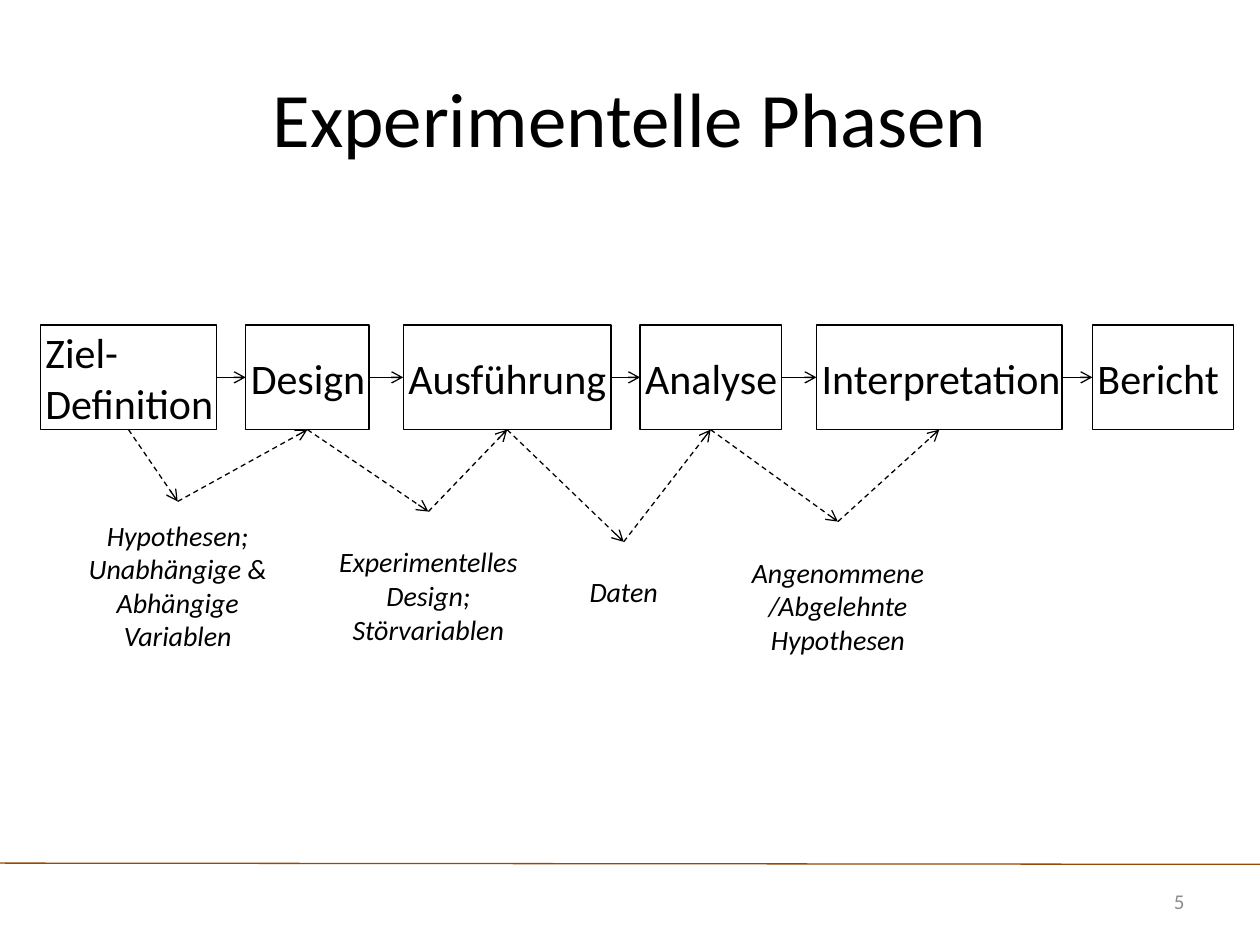
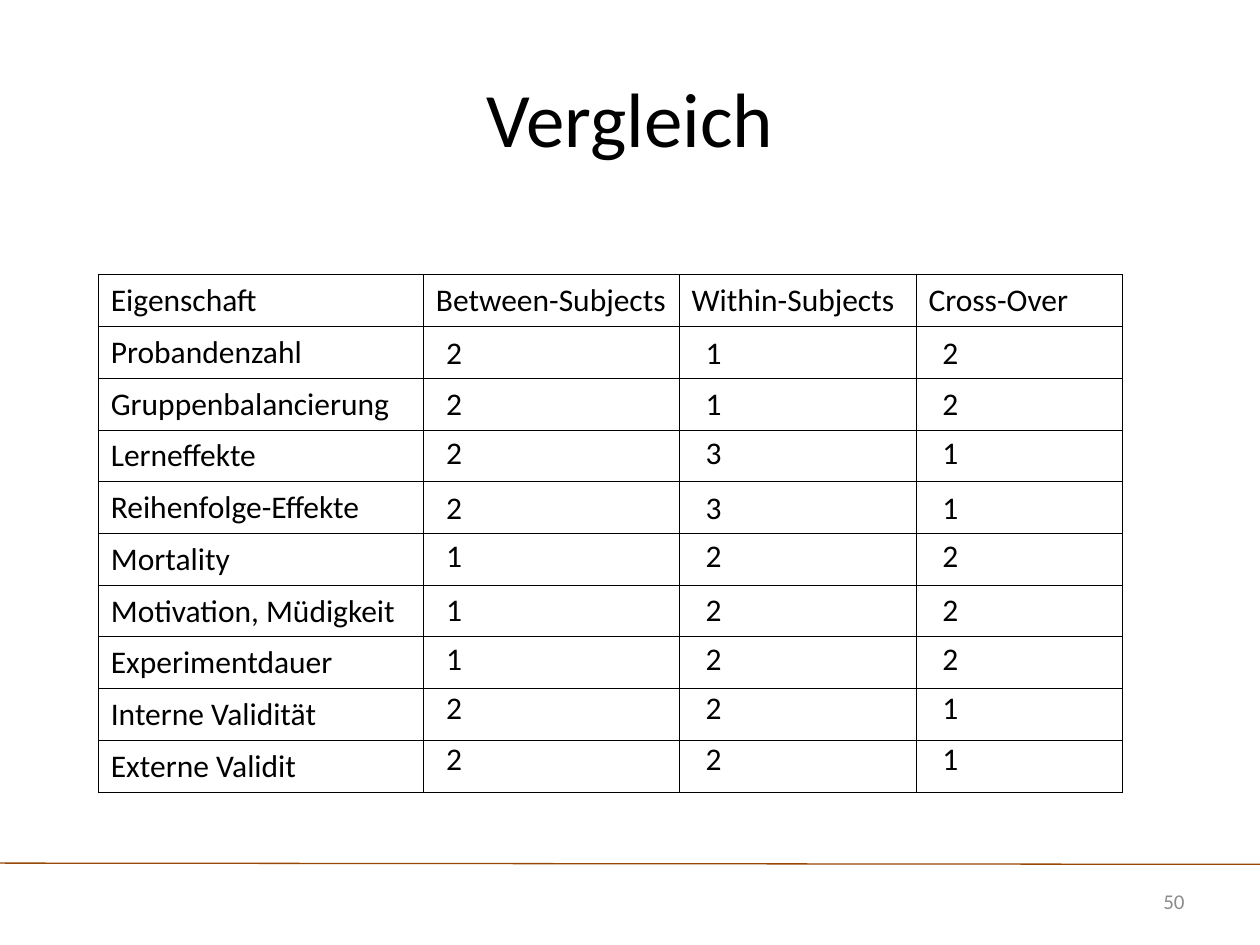
import pptx
import pptx.util
import pptx.oxml
import pptx.oxml.ns
import pptx.dml.color
import pptx.enum.dml
import pptx.enum.shapes
import pptx.enum.text
from dataclasses import dataclass

Align = pptx.enum.text.PP_ALIGN
Anchor = pptx.enum.text.MSO_ANCHOR
Dash = pptx.enum.dml.MSO_LINE.DASH


@dataclass(frozen=True)
class Theme:
    font: str = "Calibri"
    ink: str = "000000"
    paper: str = "FFFFFF"
    rule: str = "984807"
    faint: str = "8C8C8C"
    title: int = 44
    node: int = 24
    cell: int = 18
    note: int = 16
    page: int = 12
    line: float = 0.75
    hair: float = 0.45


THEME = Theme()

# The slide is a grid of 100 columns by 75 rows; boxes are left, top, width, height
COLS, ROWS = 100, 75
WIDTH, HEIGHT = pptx.util.Inches(10), pptx.util.Inches(7.5)
TITLE = (5, 3, 90, 12.5)
FOOT = (0, 68.5, 100, 6.5)
FLOW = (3.2, 25.8, 94.7, 28.9)
GRID = (7.8, 21.8, 81.3, 41.1)

# Phases: left, width, label
NODE_H = 8.3
NODES = [
    (0, 14, "Ziel-Definition"),
    (16.3, 9.8, "Design"),
    (28.8, 16.5, "Ausführung"),
    (47.6, 11.2, "Analyse"),
    (61.6, 19.5, "Interpretation"),
    (83.5, 11.2, "Bericht"),
]
# Results between phases: left, top, width, height, paragraphs
NOTES = [
    (1.5, 14, 18.8, 13.3, ["Hypothesen; Unabhängige & Abhängige Variablen"]),
    (22.6, 14.8, 16.4, 13.3, ["Experimentelles Design;", "Störvariablen"]),
    (41.3, 17.2, 10, 7.8, ["Daten"]),
    (55.4, 15.6, 15.8, 13.3, ["Angenommene/Abgelehnte Hypothesen"]),
]

HEADS = ["Eigenschaft", "Between-Subjects", "Within-Subjects", "Cross-Over"]
SPANS = [25.8, 20.3, 18.8, 16.4]
ROW_H = 4.11
# Traits: name, ratings, top of the ratings
TRAITS = [
    ("Probandenzahl", "212", 4.2),
    ("Gruppenbalancierung", "212", 8.2),
    ("Lerneffekte", "231", 12.1),
    ("Reihenfolge-Effekte", "231", 16.5),
    ("Mortality", "122", 20.3),
    ("Motivation, Müdigkeit", "122", 24.6),
    ("Experimentdauer", "122", 28.5),
    ("Interne Validität", "221", 32.4),
    ("Externe Validit", "221", 36.4),
]


def place(*nums):
    """Turn alternating columns and rows into lengths."""
    steps = (WIDTH / COLS, HEIGHT / ROWS)
    return [round(num * steps[i % 2]) for i, num in enumerate(nums)]


def assign(item, formats):
    for name, value in formats.items():
        setattr(item, name, value)


def tint(text):
    return pptx.dml.color.RGBColor.from_string(text)


def write(frame, lines, size, color=THEME.ink, align=Align.LEFT, italic=None,
          space=None, **formats):
    assign(frame, formats)
    for i, line in enumerate(lines):
        para = frame.add_paragraph() if i else frame.paragraphs[0]
        para.text = line
        assign(para, {"alignment": align, "line_spacing": space})
        assign(para.font, {"name": THEME.font, "size": pptx.util.Pt(size),
                           "italic": italic})
        para.font.color.rgb = tint(color)


def label(slide, box, lines, size, **formats):
    frame = slide.shapes.add_textbox(*place(*box)).text_frame
    write(frame, lines, size, word_wrap=True,
          vertical_anchor=Anchor.MIDDLE, **formats)


def stroke(line, color):
    line.color.rgb = tint(color)
    line.width = pptx.util.Pt(THEME.line)


def wire(slide, start, end, color=THEME.ink, dash=None, arrow=True):
    link = slide.shapes.add_connector(
        pptx.enum.shapes.MSO_CONNECTOR.STRAIGHT, *place(*start, *end))
    stroke(link.line, color)
    if dash:
        link.line.dash_style = dash
    props = link.element.spPr
    if arrow:
        tip = pptx.oxml.parse_xml(
            f'<a:tailEnd {pptx.oxml.ns.nsdecls("a")} type="arrow"/>')
        props.find(pptx.oxml.ns.qn("a:ln")).append(tip)
    props.append(pptx.oxml.parse_xml(
        f'<a:effectLst {pptx.oxml.ns.nsdecls("a")}/>'))


def border(cell, color, widths):
    """Draw the left, right, top and bottom edges of a cell."""
    props = cell._tc.get_or_add_tcPr()
    for i, (side, width) in enumerate(zip("LRTB", widths)):
        props.insert(i, pptx.oxml.parse_xml(
            f'<a:ln{side} {pptx.oxml.ns.nsdecls("a")} w="{pptx.util.Pt(width)}">'
            f'<a:solidFill><a:srgbClr val="{color}"/></a:solidFill></a:ln{side}>'))


def table(slide, left, top, spans, rows, color, widths):
    box = place(left, top, sum(spans), ROW_H * len(rows))
    grid = slide.shapes.add_table(len(rows), len(spans), *box).table
    assign(grid, {"first_row": False, "horz_banding": False})
    for col, span in zip(grid.columns, spans):
        col.width = place(span)[0]
    for r, row in enumerate(rows):
        grid.rows[r].height = place(0, ROW_H)[1]
        for c, text in enumerate(row):
            cell = grid.cell(r, c)
            cell.fill.background()
            border(cell, color, widths)
            write(cell.text_frame, [text], THEME.cell, space=1.02)


def node(slide, box, text):
    shape = slide.shapes.add_shape(
        pptx.enum.shapes.MSO_SHAPE.RECTANGLE, *place(*box))
    shape.shadow.inherit = False
    shape.fill.background()
    stroke(shape.line, THEME.ink)
    write(shape.text_frame, [text], THEME.node, word_wrap=True,
          vertical_anchor=Anchor.MIDDLE, margin_left=place(0.4)[0],
          margin_top=0, margin_right=0, margin_bottom=0)


def foot(slide, box, page):
    x, y, w, h = box
    wire(slide, (x, y), (x + w, y + 0.1), THEME.rule, arrow=False)
    label(slide, (x + 85.9, y + 1, 9.1, 4), [str(page)], THEME.page,
          color=THEME.faint, align=Align.RIGHT)


def base(deck, title, page):
    slide = deck.slides.add_slide(deck.slide_layouts[6])
    foot(slide, FOOT, page)
    label(slide, TITLE, [title], THEME.title, align=Align.CENTER)
    return slide


def flow(slide, box):
    x, y = box[:2]
    low, mid = y + NODE_H, y + NODE_H / 2
    # Phases and the arrows between them
    for left, width, text in NODES:
        node(slide, (x + left, y, width, NODE_H), text)
    for (left, width, _), (after, *_) in zip(NODES, NODES[1:]):
        wire(slide, (x + left + width, mid), (x + after, mid))
    # Results, each reached from one phase and leading to the next
    feet = [(x + left + width / 2, low) for left, width, _ in NODES]
    for start, end, (left, top, width, height, lines) in zip(feet, feet[1:], NOTES):
        label(slide, (x + left, y + top, width, height), lines, THEME.note,
              align=Align.CENTER, italic=True)
        peak = (x + left + width / 2, y + top)
        wire(slide, start, peak, dash=Dash)
        wire(slide, peak, end, dash=Dash)


def compare(slide, box):
    x, y = box[:2]
    # Ratings, one strip per trait
    for _, marks, top in TRAITS:
        table(slide, x + SPANS[0] + 0.8, y + top, [20.6, *SPANS[2:]],
              [marks], THEME.paper, (1, 1, 1, 3))
    # Ruled frame with headings and trait names
    rows = [HEADS] + [[name, "", "", ""] for name, *_ in TRAITS]
    table(slide, x, y, SPANS, rows, THEME.ink, [THEME.hair] * 4)


def main():
    deck = pptx.Presentation()
    assign(deck, {"slide_width": WIDTH, "slide_height": HEIGHT})
    flow(base(deck, "Experimentelle Phasen", 5), FLOW)
    compare(base(deck, "Vergleich", 50), GRID)
    deck.save("out.pptx")


if __name__ == "__main__":
    main()
